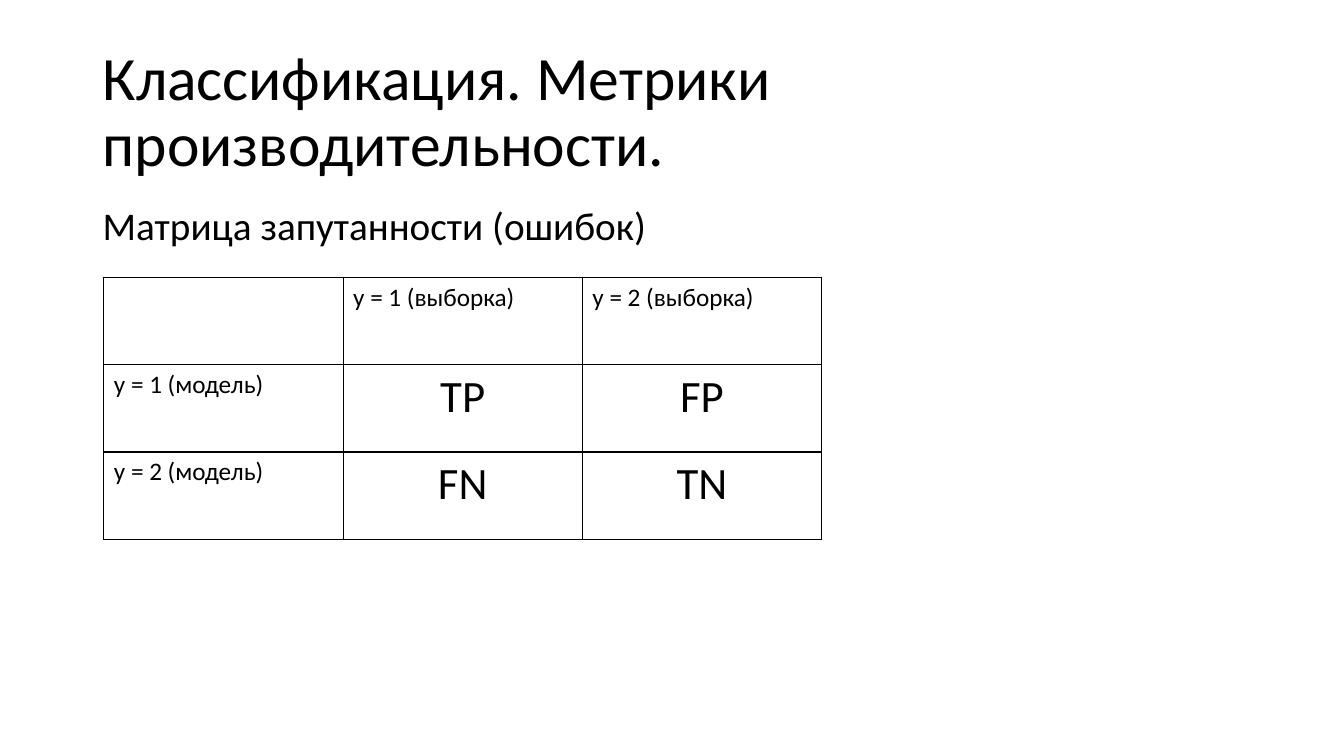
from dataclasses import dataclass

from lxml.etree import SubElement
from pptx import Presentation
from pptx.dml.color import RGBColor as Rgb
from pptx.enum.text import MSO_ANCHOR as Anchor, PP_ALIGN as Align
from pptx.oxml.ns import qn
from pptx.util import Inches, Pt


@dataclass(frozen=True)
class Theme:
    font: str = "Calibri"
    ink: str = "000000"
    title: int = 44
    body: int = 28
    mark: int = 32
    label: int = 18
    rule: int = 1


def write(frame, text, theme, size, align=Align.LEFT, lead=1.0):
    para = frame.paragraphs[0]
    para.text = text
    para.alignment = align
    para.line_spacing = lead
    para.font.name = theme.font
    para.font.size = Pt(size)
    para.font.color.rgb = Rgb.from_string(theme.ink)


class Page:
    """A slide on a grid of 100 columns by 100 rows."""

    def __init__(self, deck, theme):
        self.theme = theme
        self.slide = deck.slides.add_slide(deck.slide_layouts[6])
        self.col = deck.slide_width / 100
        self.row = deck.slide_height / 100

    def place(self, left, top, width, height):
        return (round(left * self.col), round(top * self.row),
                round(width * self.col), round(height * self.row))

    def text(self, text, box, size, anchor=Anchor.TOP):
        frame = self.slide.shapes.add_textbox(*self.place(*box)).text_frame
        frame.word_wrap = True
        frame.vertical_anchor = anchor
        write(frame, text, self.theme, size, lead=0.9)

    def border(self, cell):
        props = cell._tc.get_or_add_tcPr()
        for side in ("lnL", "lnR", "lnT", "lnB"):
            line = SubElement(props, qn(f"a:{side}"), w=str(Pt(self.theme.rule)))
            fill = SubElement(line, qn("a:solidFill"))
            SubElement(fill, qn("a:srgbClr"), val=self.theme.ink)

    def table(self, rows, box):
        shape = self.slide.shapes.add_table(len(rows), len(rows[0]), *self.place(*box))
        table = shape.table
        table.first_row = table.horz_banding = False
        for r, row in enumerate(rows):
            for c, text in enumerate(row):
                cell = table.cell(r, c)
                self.border(cell)
                cell.fill.background()
                # Headings sit in the first row and column
                inner = r > 0 and c > 0
                write(cell.text_frame, text, self.theme,
                      self.theme.mark if inner else self.theme.label,
                      align=Align.CENTER if inner else Align.LEFT)


def main():
    deck = Presentation()
    deck.slide_width, deck.slide_height = Inches(13.33), Inches(7.5)
    theme = Theme()
    page = Page(deck, theme)

    # Headings
    left, width = 6.9, 86.27
    page.text("Классификация. Метрики производительности.",
              (left, 5.33, width, 19.33), theme.title, Anchor.MIDDLE)
    page.text("Матрица запутанности (ошибок)",
              (left, 26.67, width, 63.47), theme.body)

    # Confusion matrix
    page.table([
        ["", "y = 1 (выборка)", "y = 2 (выборка)"],
        ["y = 1 (модель)", "TP", "FP"],
        ["y = 2 (модель)", "FN", "TN"],
    ], (7.73, 36.67, 53.41, 34.67))

    deck.save("out.pptx")


if __name__ == "__main__":
    main()
